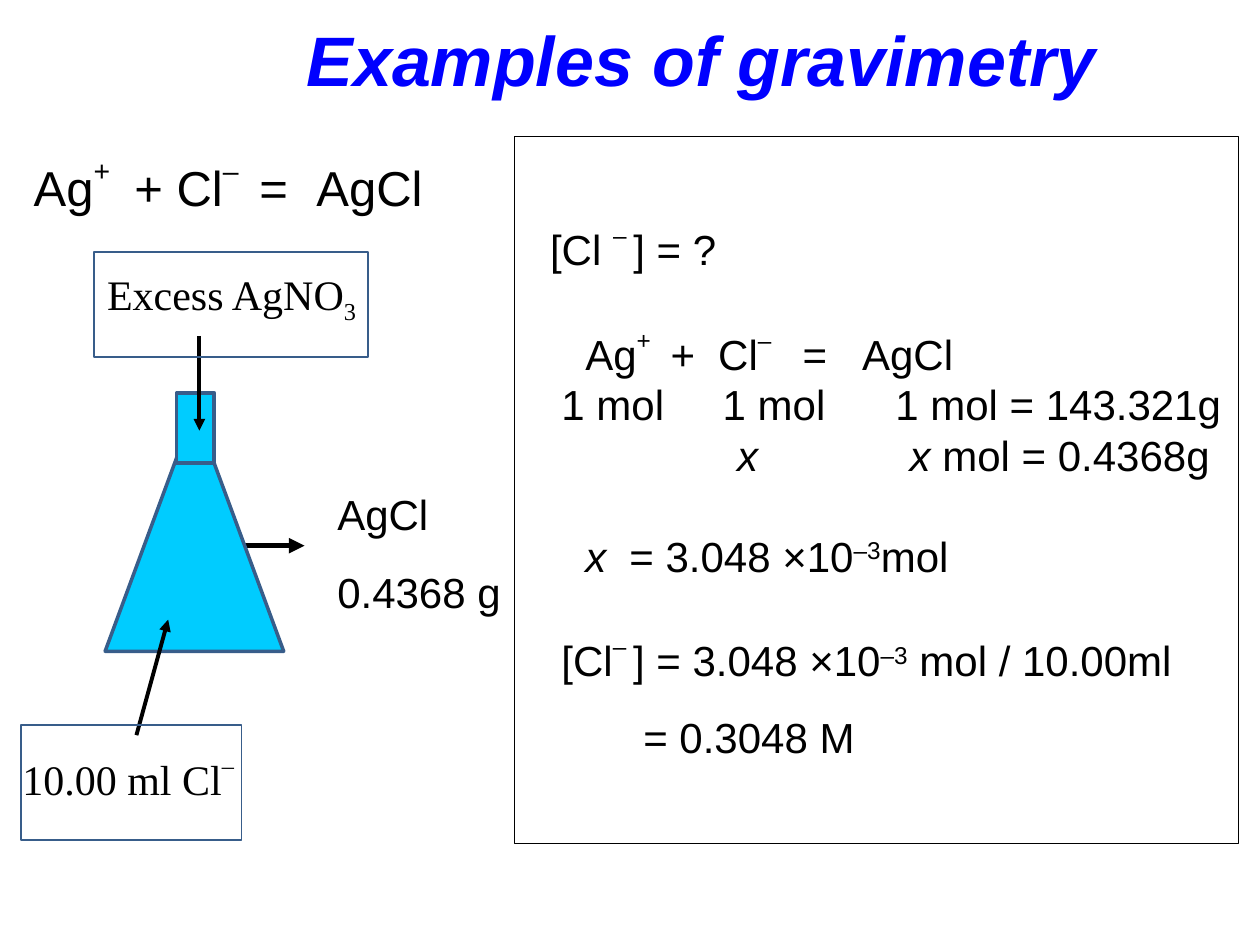
from lxml import etree
from pptx import Presentation
from pptx import util as u
from pptx.dml.color import RGBColor
from pptx.enum import shapes, text
from pptx.oxml import ns

BLACK = RGBColor(0x00, 0x00, 0x00)
WHITE = RGBColor(0xFF, 0xFF, 0xFF)
BLUE = RGBColor(0x00, 0x00, 0xFF)
CYAN = RGBColor(0x00, 0xCC, 0xFF)
STEEL = RGBColor(0x38, 0x5D, 0x8A)
SUB, UP, HIGH = -25000, 30000, 50000  # baseline shifts

prs = Presentation()
prs.slide_width, prs.slide_height = u.Cm(25.4), u.Cm(19.05)
s = prs.slides.add_slide(prs.slide_layouts[6])


def write(p, runs, fmt, tabs=(), shift_italic="x"):
    """Fill a paragraph with runs: plain strings or (string, baseline) pairs."""
    if tabs:
        lst = etree.SubElement(p._p.get_or_add_pPr(), ns.qn("a:tabLst"))
        for pos in tabs:
            etree.SubElement(lst, ns.qn("a:tab"), pos=str(u.Cm(pos)), algn="l")
    for item in runs:
        words, shift = item if isinstance(item, tuple) else (item, 0)
        r = p.add_run()
        r.text = words
        for name, value in fmt.items():
            setattr(r.font, name, value)
        r.font.color.rgb = fmt_color.get(fmt["size"], BLACK)
        if words.strip() == shift_italic:
            r.font.italic = True
        if shift:
            r._r.get_or_add_rPr().set("baseline", str(shift))


def shape(kind, box, fill, line, width):
    sp = s.shapes.add_shape(kind, *map(u.Cm, box))
    sp.shadow.inherit = False
    if fill is None:
        sp.fill.background()
    else:
        sp.fill.solid()
        sp.fill.fore_color.rgb = fill
    sp.line.color.rgb = line
    sp.line.width = u.Pt(width)
    return sp


# Text formats
title = {"name": "Arial", "size": u.Pt(40), "bold": True, "italic": True}
equation = {"name": "Arial", "size": u.Pt(28)}
body = {"name": "Arial", "size": u.Pt(24)}
label = {"name": "Times New Roman", "size": u.Pt(24)}
fmt_color = {title["size"]: BLUE}

# Title, equation and labels
for box, fmt, tabs, paras in [
    ((5.93, 0.2, 16.93, 1.96), title, (), [["Examples of gravimetry"]]),
    ((0.43, 2.97, 9.53, 2.72), equation, (2.03, 4.55, 5.7),
     [["Ag", ("+", HIGH), "\t+ Cl", ("–", HIGH), "\t=\tAgCl"]]),
    ((0.2, 14.99, 4.88, 1.35), label, (), [["10.00 ml Cl", ("–", HIGH)]]),
    ((1.91, 5.28, 5.92, 1.42), label, (), [["Excess AgNO", ("3", SUB)]]),
    ((6.55, 9.72, 3.9, 2.82), body, (), [["AgCl"], ["0.4368 g"]]),
]:
    tf = s.shapes.add_textbox(*map(u.Cm, box)).text_frame
    tf.word_wrap = True
    for i, runs in enumerate(paras):
        p = tf.add_paragraph() if i else tf.paragraphs[0]
        if i:
            p.space_before = u.Pt(16)
        write(p, runs, fmt, tabs)

# Calculation panel: space before, tab stops, runs
tf = shape(shapes.MSO_SHAPE.RECTANGLE, (10.37, 2.75, 14.6, 14.25),
           WHITE, BLACK, 0.75).text_frame
tf.word_wrap = True
tf.vertical_anchor = text.MSO_ANCHOR.TOP
tf.margin_top = u.Cm(1.76)
for i, (before, tabs, runs) in enumerate([
    (0, (0.47,), ["\t[Cl ", ("– ", HIGH), "] = ?"]),
    (31, (1.18, 2.9, 3.86, 5.56, 6.76),
     ["\tAg", ("+", HIGH), "\t+\tCl", ("–", HIGH), "\t=\tAgCl"]),
    (0, (0.7, 3.95, 7.43), ["\t1 mol\t1 mol\t1 mol = 143.321g"]),
    (0, (4.24, 7.72), ["\tx", "\tx", " mol = 0.4368g"]),
    (29, (1.18, 2.07), ["\tx", "\t= 3.048 ×10", ("–3", UP), "mol"]),
    (31, (0.7,), ["\t[Cl", ("– ", HIGH), "] = 3.048 ×10", ("–3", UP),
                  " mol / 10.00ml"]),
    (15, (2.35,), ["\t= 0.3048 M"]),
]):
    p = tf.add_paragraph() if i else tf.paragraphs[0]
    p.alignment = text.PP_ALIGN.LEFT
    p.line_spacing = u.Pt(28.8)
    if before:
        p.space_before = u.Pt(before)
    write(p, runs, body, tabs)

# Arrows, with the flask drawn over the start of the first one
for i, (ends, width) in enumerate([
    ((4.23, 11, 6.14, 11), 3),
    ((2.75, 14.82, 3.39, 12.49), 2.25),
    ((4.02, 6.77, 4.02, 8.68), 2.25),
]):
    c = s.shapes.add_connector(shapes.MSO_CONNECTOR.STRAIGHT, *map(u.Cm, ends))
    c.line.color.rgb = BLACK
    c.line.width = u.Pt(width)
    etree.SubElement(c.line._get_or_add_ln(), ns.qn("a:tailEnd"), type="triangle")
    etree.SubElement(c._element.spPr, ns.qn("a:effectLst"))
    if i == 0:
        shape(shapes.MSO_SHAPE.ISOSCELES_TRIANGLE, (2.12, 8.26, 3.6, 4.87),
              CYAN, STEEL, 2)
        shape(shapes.MSO_SHAPE.RECTANGLE, (3.56, 7.92, 0.76, 1.42),
              CYAN, STEEL, 2)

# Frames around the two reagent labels
for box in [(0.42, 14.61, 4.45, 2.33), (1.9, 5.08, 5.52, 2.12)]:
    shape(shapes.MSO_SHAPE.RECTANGLE, box, None, STEEL, 1)

prs.save("out.pptx")
